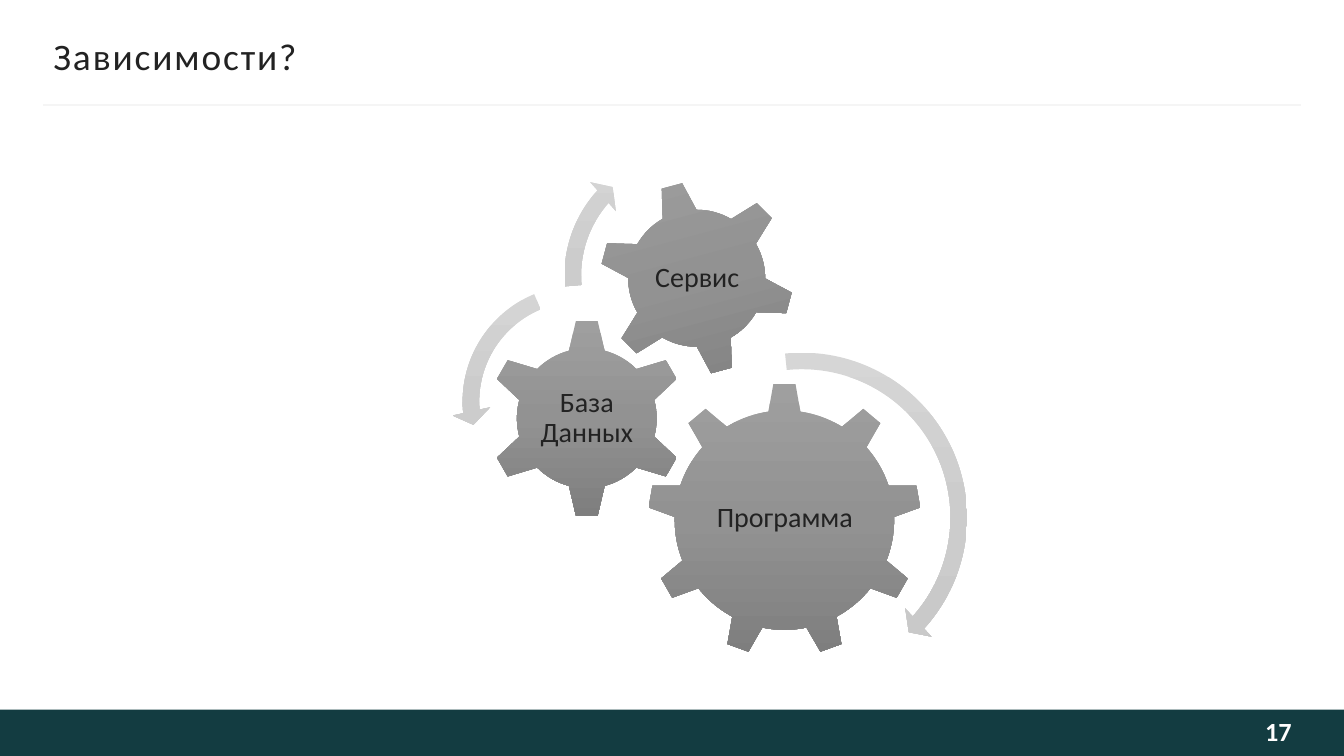
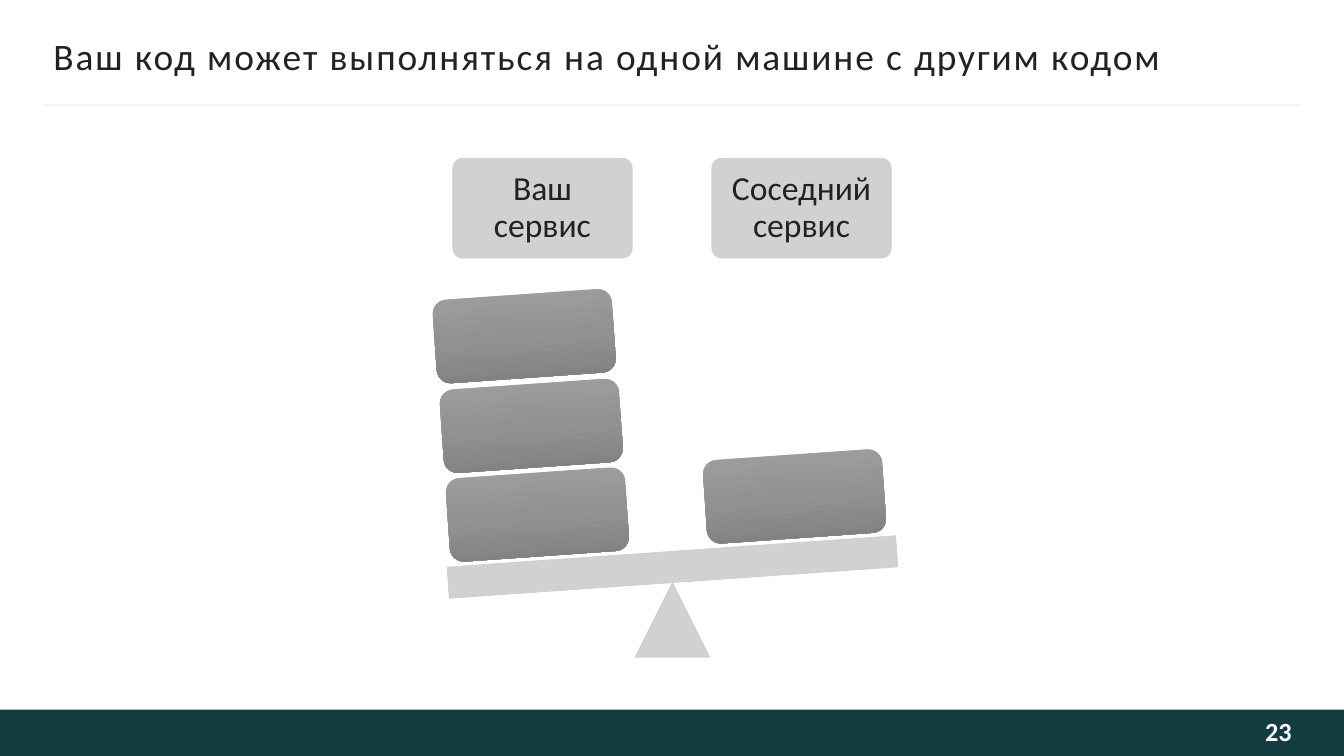
from copy import deepcopy

from pptx import Presentation
from pptx.dml.color import RGBColor
from pptx.enum.shapes import MSO_CONNECTOR, MSO_SHAPE
from pptx.enum.text import MSO_ANCHOR, PP_ALIGN
from pptx.oxml.ns import qn
from pptx.util import Pt
from lxml import etree

EMU_PER_PX = 9144  # 100 px to the inch
WIDTH, HEIGHT = 1333, 750

RECT, ROUND_RECT = MSO_SHAPE.RECTANGLE, MSO_SHAPE.ROUNDED_RECTANGLE
TRIANGLE = MSO_SHAPE.ISOSCELES_TRIANGLE
GEAR_6, GEAR_9 = MSO_SHAPE.GEAR_6, MSO_SHAPE.GEAR_9
ARC_RIGHT, ARC_LEFT = MSO_SHAPE.CIRCULAR_ARROW, MSO_SHAPE.LEFT_CIRCULAR_ARROW
STRAIGHT, MIDDLE = MSO_CONNECTOR.STRAIGHT, MSO_ANCHOR.MIDDLE
LEFT, CENTER, RIGHT = PP_ALIGN.LEFT, PP_ALIGN.CENTER, PP_ALIGN.RIGHT

DARK_GREY = ("9F9F9F", "929292", "7E7E7E")
LIGHT_GREY = ("D6D6D6", "CCCCCC", "C6C6C6")


def px(length):
    return round(length * EMU_PER_PX)


def rgb(color):
    return RGBColor.from_string(color)


class Deck:
    FONT = "Calibri"
    INK, PALE, BAND, RULE, ON_BAND = "222222", "CDCDCD", "133C41", "F5F5F5", "FEFEFE"
    ARC_BAND, ARC_HEAD = 16.4, 19.1

    def __init__(self):
        self.presentation = Presentation()
        self.presentation.slide_width = px(WIDTH)
        self.presentation.slide_height = px(HEIGHT)
        self.slide = None

    def new_slide(self, heading, number):
        """Start a slide with its title, rule, bottom band and number."""
        self.slide = self.presentation.slides.add_slide(self.presentation.slide_layouts[5])
        title = self.slide.shapes.title
        title.left, title.top, title.width, title.height = map(px, (53, 33, 1229, 44))
        self.set_text(title, heading, 26.7, align=LEFT, insets=(0, 5, 0, 5))
        title.text_frame.paragraphs[0].runs[0].font._element.set("spc", "133")

        self.solid(RECT, 0, 704, WIDTH, 46, self.BAND)
        self.rule(43, 104, 1290)
        self.label(number, 1081, 704, 200, 46, 18.7, color=self.ON_BAND, bold=True,
                   align=RIGHT, insets=(10, 5, 0, 9))

    def rule(self, left, top, right):
        line = self.slide.shapes.add_connector(
            STRAIGHT, px(left), px(top), px(right), px(top))
        line.line.color.rgb = rgb(self.RULE)
        line.line.width = Pt(1.5)
        etree.SubElement(line._element.spPr, qn("a:effectLst"))

    def set_text(self, shape, text, size, color=INK, bold=False, align=CENTER,
                 insets=(3, 3, 3, 3), spacing=None):
        frame = shape.text_frame
        frame.text = text
        frame.word_wrap = True
        frame.vertical_anchor = MIDDLE
        (frame.margin_left, frame.margin_top,
         frame.margin_right, frame.margin_bottom) = map(px, insets)
        paragraph = frame.paragraphs[0]
        paragraph.alignment = align
        paragraph.line_spacing = spacing
        font = paragraph.font
        font.name, font.size, font.bold = self.FONT, Pt(size), bold
        font.color.rgb = rgb(color)

    def label(self, text, left, top, width, height, size, **style):
        box = self.slide.shapes.add_textbox(px(left), px(top), px(width), px(height))
        self.set_text(box, text, size, **style)

    def shape(self, kind, left, top, width, height, rotation=0):
        """Add a shape without line or shadow, ready to be filled."""
        shape = self.slide.shapes.add_shape(kind, px(left), px(top), px(width), px(height))
        shape.rotation = rotation
        shape.shadow.inherit = False
        shape.line.fill.background()
        return shape

    def solid(self, kind, left, top, width, height, color, rotation=0):
        shape = self.shape(kind, left, top, width, height, rotation)
        shape.fill.solid()
        shape.fill.fore_color.rgb = rgb(color)
        return shape

    def shaded(self, kind, left, top, width, height, colors, rotation=0):
        """Add a shape filled from top to bottom with evenly spaced colours."""
        shape = self.shape(kind, left, top, width, height, rotation)
        fill = shape.fill
        fill.gradient()
        fill.gradient_angle = 270
        stop_list = shape._element.spPr.find(".//" + qn("a:gsLst"))
        stop_list.insert(1, deepcopy(stop_list[0]))
        for index, (stop, color) in enumerate(zip(fill.gradient_stops, colors)):
            stop.position = index / (len(colors) - 1)
            stop.color.rgb = rgb(color)
        return shape

    def pale(self, kind, left, top, width, height, rotation=0):
        """Add a slightly transparent light shape with a matching outline."""
        shape = self.solid(kind, left, top, width, height, self.PALE, rotation)
        shape.line.color.rgb = rgb(self.PALE)
        shape.line.width = Pt(0.5)
        for color in shape._element.spPr.iter(qn("a:srgbClr")):
            etree.SubElement(color, qn("a:alpha"), val="90000")
        return shape

    def caption(self, text, left, top):
        card = self.pale(ROUND_RECT, left, top, 178, 99)
        card.adjustments[0] = 0.1
        self.set_text(card, text, 24, insets=(10, 10, 10, 10), spacing=0.9)

    def gear(self, kind, left, top, size, text, text_place, rotation=0):
        self.shaded(kind, left, top, size, size, DARK_GREY, rotation)
        self.label(text, *text_place, 20, spacing=0.9)

    def arc(self, kind, left, top, size, *degrees):
        """Add a round arrow; degrees are its head span, end and start."""
        arrow = self.shaded(kind, left, top, size, size, LIGHT_GREY)
        ratios = (self.ARC_BAND / size, *(0.6 * angle for angle in degrees),
                  self.ARC_HEAD / size)
        for index, ratio in enumerate(ratios):
            arrow.adjustments[index] = ratio

    def block(self, left, top):
        self.shaded(ROUND_RECT, left, top, 178, 83, DARK_GREY, rotation=356)


def dependencies(deck):
    deck.new_slide("Зависимости?", "17")
    deck.gear(GEAR_9, 642, 380, 272, "Программа", (697, 444, 163, 140))
    deck.gear(GEAR_6, 483, 316, 198, "База Данных", (533, 366, 98, 98))
    deck.gear(GEAR_6, 594, 179, 194, "Сервис", (637, 222, 109, 109), rotation=345)
    deck.arc(ARC_RIGHT, 621, 339, 349, 4.98, 42.06, 264.09)
    deck.arc(ARC_LEFT, 448, 272, 253, 7.17, 174.82, 247.3)
    deck.arc(ARC_RIGHT, 549, 137, 273, 6.57, 221.9, 175.14)


def shared_machine(deck):
    deck.new_slide("Ваш код может выполняться на одной машине с другим кодом", "23")
    for column, text in enumerate(("Ваш сервис", "Соседний сервис")):
        deck.caption(text, 449 + 257 * column, 157)
    deck.pale(TRIANGLE, 630, 578, 74, 74)
    deck.pale(RECT, 444, 547, 446, 31, rotation=356)
    for level in range(3):
        deck.block(444 - 13 * level // 2, 469 - 177 * level // 2)
    deck.block(699, 451)


def main():
    deck = Deck()
    dependencies(deck)
    shared_machine(deck)
    deck.presentation.save("out.pptx")


if __name__ == "__main__":
    main()
